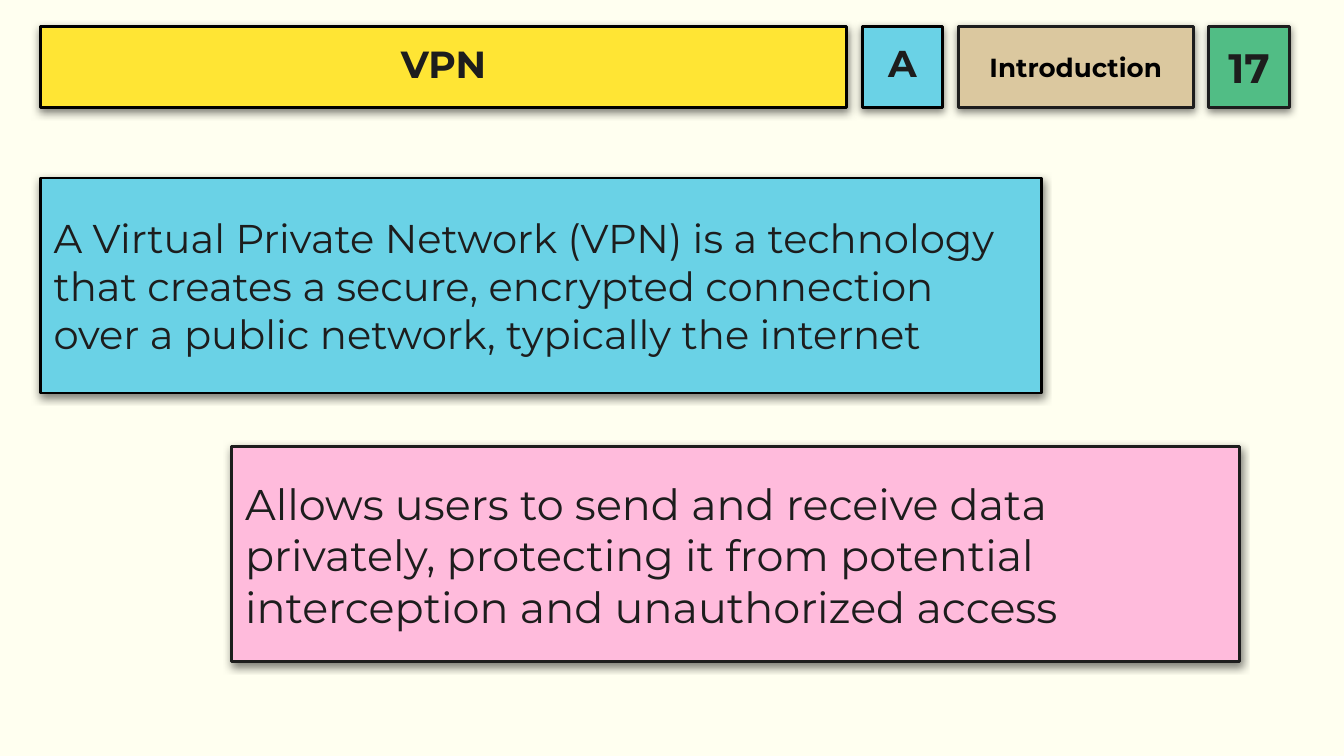
from collections import namedtuple

from lxml import etree
from pptx import Presentation
from pptx.dml.color import RGBColor
from pptx.enum.shapes import MSO_SHAPE
from pptx.enum.text import MSO_ANCHOR, PP_ALIGN
from pptx.oxml.ns import qn
from pptx.util import Emu, Pt

RECTANGLE = MSO_SHAPE.RECTANGLE
MIDDLE = MSO_ANCHOR.MIDDLE
LEFT, CENTER = PP_ALIGN.LEFT, PP_ALIGN.CENTER

EMU_PER_PX = 4572
FONT = "Montserrat"
COLORS = {
    "page": "FFFFF0",
    "ink": "1D1D1D",
    "black": "000000",
    "yellow": "FFE534",
    "blue": "6AD2E6",
    "tan": "DBC89F",
    "green": "51BD85",
    "pink": "FFBBDC",
}

Box = namedtuple("Box", "left top width height")


def px(length):
    return Emu(length * EMU_PER_PX)


def color(name):
    return RGBColor.from_string(COLORS[name])


def add_shadow(shape):
    shape.shadow.inherit = False
    effects = shape._element.spPr.find(qn("a:effectLst"))
    shadow = etree.SubElement(
        effects, qn("a:outerShdw"), blurRad=str(Pt(4.5)), dist=str(Pt(1.5)),
        dir="5400000", algn="bl", rotWithShape="0")
    tint = etree.SubElement(shadow, qn("a:srgbClr"), val=COLORS["black"])
    etree.SubElement(tint, qn("a:alpha"), val="50000")


def add_card(page, box, text, size, fill, border="black", ink="ink",
             align=CENTER, bold=True, spacing=1.0):
    card = page.shapes.add_shape(RECTANGLE, *map(px, box))
    card.fill.solid()
    card.fill.fore_color.rgb = color(fill)
    card.line.color.rgb = color(border)
    card.line.width = Pt(1.5)
    add_shadow(card)

    frame = card.text_frame
    frame.word_wrap = True
    frame.vertical_anchor = MIDDLE
    frame.margin_left = frame.margin_right = px(20)
    frame.margin_top = frame.margin_bottom = px(20)
    para = frame.paragraphs[0]
    para.alignment = align
    para.line_spacing = spacing
    span = para.add_run()
    span.text = text
    span.font.name = FONT
    span.font.size = Pt(size)
    span.font.bold = bold
    span.font.color.rgb = color(ink)


def add_header(page, box):
    gap = 23
    cards = [
        (1200, "VPN", 20.2, "yellow", {"spacing": 0.8}),
        (120, "A", 20, "blue", {"spacing": 0.8}),
        (350, "Introduction", 14, "tan", {"border": "ink", "ink": "black"}),
        (120, "17", 22, "green", {"border": "ink"}),
    ]
    left = box.left
    for width, text, size, fill, style in cards:
        place = Box(left, box.top, width, box.height)
        add_card(page, place, text, size, fill, **style)
        left += width + gap


def add_statements(page, box):
    height, pitch = 320, 400
    statements = [
        (0, 1490, "A Virtual Private Network (VPN) is a technology that creates "
         "a secure, encrypted connection over a public network, typically "
         "the internet", 21.5, "blue", "black"),
        (285, 1500, "Allows users to send and receive data privately, protecting "
         "it from potential interception and unauthorized access",
         23, "pink", "ink"),
    ]
    for row, (indent, width, text, size, fill, border) in enumerate(statements):
        place = Box(box.left + indent, box.top + row * pitch, width, height)
        add_card(page, place, text, size, fill, border, align=LEFT, bold=False)


def main():
    deck = Presentation()
    deck.slide_width, deck.slide_height = px(2000), px(1125)
    page = deck.slides.add_slide(deck.slide_layouts[6])
    page.background.fill.solid()
    page.background.fill.fore_color.rgb = color("page")
    add_header(page, Box(60, 40, 1859, 120))
    add_statements(page, Box(60, 265, 1785, 720))
    deck.save("out.pptx")


if __name__ == "__main__":
    main()
